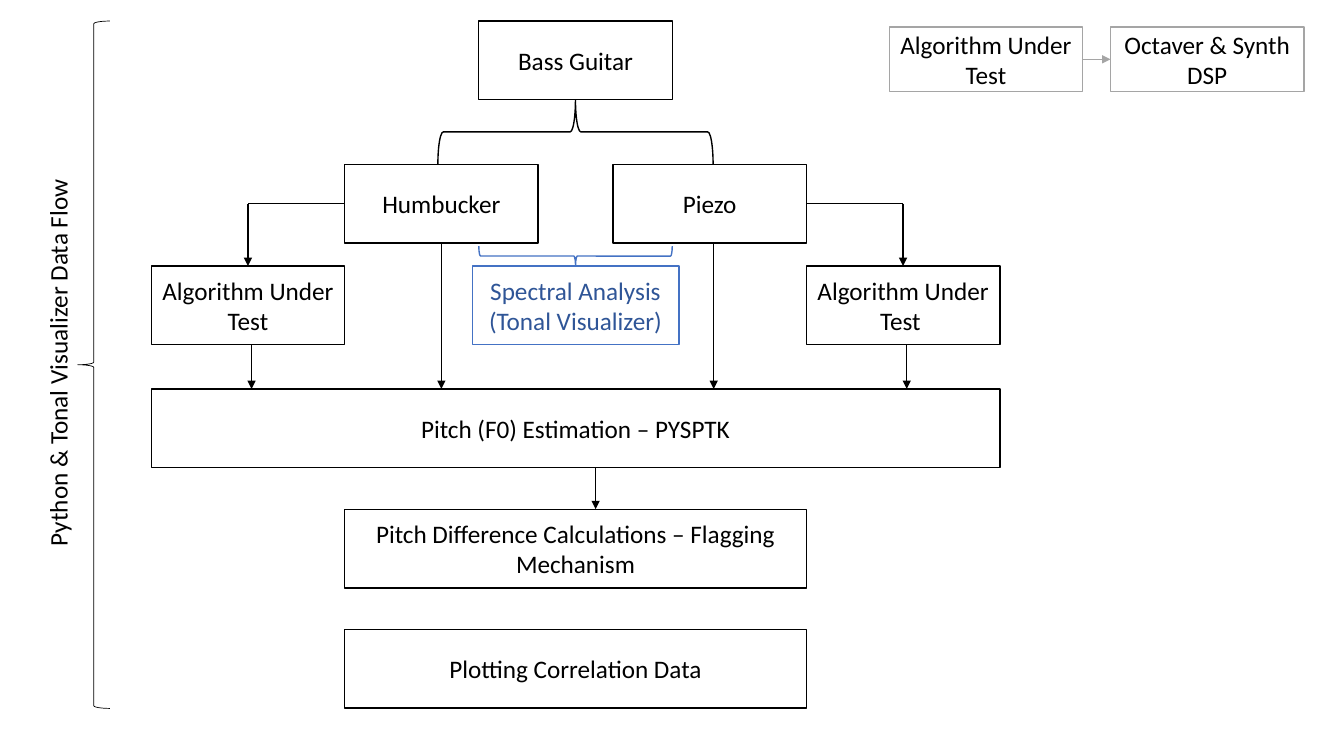
from lxml import etree
from pptx import Presentation
from pptx.dml.color import RGBColor
from pptx.enum import shapes, text
from pptx.oxml import ns
from pptx.util import Pt

BLACK, WHITE, GREY = "000000", "FFFFFF", "A5A5A5"
BLUE, DARK_BLUE = "4472C4", "2F5597"
TOP, BOTTOM_SIDE, LEFT_SIDE, RIGHT_SIDE = 0, 2, 1, 3

# Shared box sizes, column edges and row tops
BOX_WIDTH, BOX_HEIGHT, LEGEND_HEIGHT = 138.2, 56.2, 46
COLUMN_1, COLUMN_2, COLUMN_3, COLUMN_4 = 108, 246.2, 437.8, 576
CENTRE = (COLUMN_1 + COLUMN_4 + BOX_WIDTH) / 2
SOURCE_TOP, PICKUP_TOP, TEST_TOP = 15, 117.3, 190
PITCH_TOP, DIFFERENCE_TOP, PLOT_TOP = 277.8, 363.7, 449.5


def paint(color_format, color):
    color_format.rgb = RGBColor.from_string(color)


def style_shape(shape, line, fill=None, weight=1):
    shape.shadow.inherit = False
    if fill:
        shape.fill.solid()
        paint(shape.fill.fore_color, fill)
    else:
        shape.fill.background()
    paint(shape.line.color, line)
    shape.line.width = Pt(weight)


def write(text_frame, wording, color=BLACK):
    text_frame.text = wording
    text_frame.vertical_anchor = text.MSO_ANCHOR.MIDDLE
    paragraph = text_frame.paragraphs[0]
    paragraph.alignment = text.PP_ALIGN.CENTER
    font = paragraph.runs[0].font
    font.name, font.size = "Calibri", Pt(18)
    paint(font.color, color)


def add_box(slide, wording, left, top, width=BOX_WIDTH, height=BOX_HEIGHT,
            line=BLACK, fill=None, color=BLACK):
    shape = slide.shapes.add_shape(shapes.MSO_SHAPE.RECTANGLE,
                                   Pt(left), Pt(top), Pt(width), Pt(height))
    style_shape(shape, line, fill)
    write(shape.text_frame, wording, color)
    return shape


def add_brace(slide, centre_x, centre_y, depth, span, rotation,
              line=BLACK, fill=None, weight=1):
    shape = slide.shapes.add_shape(
        shapes.MSO_SHAPE.RIGHT_BRACE, Pt(centre_x - depth / 2),
        Pt(centre_y - span / 2), Pt(depth), Pt(span))
    shape.rotation = rotation
    style_shape(shape, line, fill, weight)


def add_line(slide, start, end, begin=None, finish=None, arrow=True,
             color=BLACK, weight=1):
    """Draw a line; begin and finish are (shape, side) pairs to join."""
    connector = slide.shapes.add_connector(
        shapes.MSO_CONNECTOR.STRAIGHT, *(Pt(value) for value in start + end))
    if begin:
        connector.begin_connect(*begin)
    if finish:
        connector.end_connect(*finish)
    paint(connector.line.color, color)
    connector.line.width = Pt(weight)
    if arrow:
        etree.SubElement(connector.line._get_or_add_ln(),
                         ns.qn("a:tailEnd"), type="triangle")
    etree.SubElement(connector._element.spPr, ns.qn("a:effectLst"))


def add_side_label(slide, wording, centre_x, centre_y, width, height):
    label = slide.shapes.add_textbox(Pt(centre_x - width / 2),
                                     Pt(centre_y - height / 2),
                                     Pt(width), Pt(height))
    label.rotation = 270
    write(label.text_frame, wording)
    label.text_frame.word_wrap = False


def add_test_branch(slide, pickup, side, wording, left):
    """Lead from a pickup's side to its algorithm box and on to pitch."""
    test = add_box(slide, wording, left, TEST_TOP)
    middle_x = left + BOX_WIDTH / 2
    corner = (middle_x, PICKUP_TOP + BOX_HEIGHT / 2)
    add_line(slide, corner, corner, begin=(pickup, side), arrow=False)
    add_line(slide, corner, (middle_x, TEST_TOP), finish=(test, TOP))
    exit_x = left + 71.7
    add_line(slide, (exit_x, TEST_TOP + BOX_HEIGHT), (exit_x, PITCH_TOP))


def main():
    presentation = Presentation()
    presentation.slide_width, presentation.slide_height = Pt(960), Pt(540)
    slide = presentation.slides.add_slide(presentation.slide_layouts[6])

    # Instrument and its two pickups
    add_box(slide, "Bass Guitar", CENTRE - BOX_WIDTH / 2, SOURCE_TOP)
    humbucker = add_box(slide, "Humbucker", COLUMN_2, PICKUP_TOP)
    piezo = add_box(slide, "Piezo", COLUMN_3, PICKUP_TOP)
    add_brace(slide, CENTRE, 94.2, 46, 196.6, 270)

    # Algorithm branches and direct signals
    add_test_branch(slide, humbucker, LEFT_SIDE,
                    "Algorithm Under Test", COLUMN_1)
    add_test_branch(slide, piezo, RIGHT_SIDE,
                    "Algorithm Under Test ", COLUMN_4)
    pickup_bottom = PICKUP_TOP + BOX_HEIGHT
    humbucker_x, piezo_x = COLUMN_2 + BOX_WIDTH / 2, 509.8
    add_line(slide, (humbucker_x, pickup_bottom), (humbucker_x, PITCH_TOP),
             begin=(humbucker, BOTTOM_SIDE))
    add_line(slide, (piezo_x, pickup_bottom), (piezo_x, PITCH_TOP))

    # Spectral analysis
    add_box(slide, "Spectral Analysis (Tonal Visualizer)", CENTRE - 73.8,
            TEST_TOP, 147.6, line=BLUE, fill=WHITE, color=DARK_BLUE)
    add_brace(slide, CENTRE, 182.9, 14.2, BOX_WIDTH, 90, BLUE, WHITE)

    # Pitch estimation, comparison and plotting
    wide = COLUMN_4 - COLUMN_2
    add_box(slide, "Pitch (F0) Estimation – PYSPTK", COLUMN_1, PITCH_TOP,
            COLUMN_4 + BOX_WIDTH - COLUMN_1)
    add_box(slide, "Pitch Difference Calculations – Flagging Mechanism",
            COLUMN_2, DIFFERENCE_TOP, wide)
    add_box(slide, "Plotting Correlation Data", COLUMN_2, PLOT_TOP, wide)
    add_line(slide, (425.5, PITCH_TOP + BOX_HEIGHT), (425.5, DIFFERENCE_TOP))

    # Signal chain at top right
    test, octaver = [
        add_box(slide, wording, left, 19.4, height=LEGEND_HEIGHT,
                line=GREY, fill=WHITE)
        for wording, left in (("Algorithm Under Test", 635.2),
                              ("Octaver & Synth DSP", 793.2))]
    add_line(slide, (773.4, 42.4), (793.2, 42.4), (test, RIGHT_SIDE),
             (octaver, LEFT_SIDE), color=GREY, weight=0.5)

    # Overall flow bracket and label
    add_brace(slide, 67, 260.5, 23, 491, 180, weight=0.5)
    add_side_label(slide, "Python & Tonal Visualizer Data Flow",
                   41, 259.2, 279.4, 29)

    presentation.save("out.pptx")


if __name__ == "__main__":
    main()
